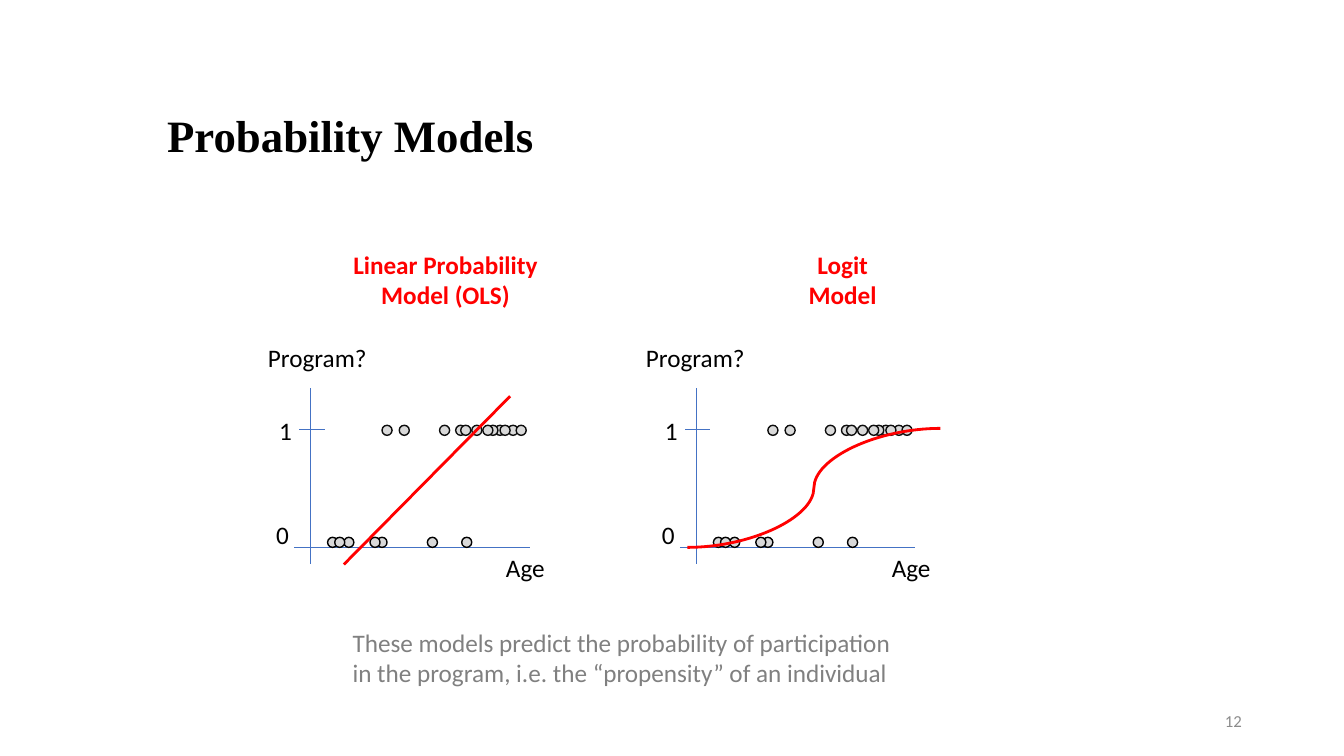
from lxml.etree import SubElement
from pptx import Presentation
from pptx.dml.color import RGBColor
from pptx.enum.shapes import MSO_CONNECTOR as Connector, MSO_SHAPE as Shape
from pptx.enum.text import MSO_ANCHOR as Anchor, MSO_AUTO_SIZE as AutoSize, PP_ALIGN as Align
from pptx.oxml.ns import qn
from pptx.util import Pt

ONES = [131.8, 103.7, 115.2, 92.2, 107.3, 51.1, 63.4, 126.7, 141.1, 123.1, 135.4, 146.9]
ZEROS = [47.5, 42.5, 83.5, 108, 12.2, 23.8, 17.3]
AXES = [(0, 277.2, 0, 403.2), (-11.7, 391, 156.5, 391), (-7.9, 306.7, 10.1, 306.7)]
LABELS = [("Age", 132.5, 391, 42.5), ("1", -29.5, 293, 23.8), ("0", -31.7, 367.2, 23.8)]


def colour(value):
    return RGBColor.from_string(value)


def assign(target, values):
    for name, value in values.items():
        setattr(target, name, value)


class Painter:
    red = "FF0000"
    black = "000000"
    axis_blue = "4472C4"
    dot_fill = "D9D9D9"
    dot_size = 7.2

    def __init__(self, page):
        self.page = page

    def text(self, words, left, top, width, height=28.8, ink=black, frame=None, layout=None, font=None):
        box = self.page.shapes.add_textbox(Pt(left), Pt(top), Pt(width), Pt(height))
        assign(box.text_frame, {"word_wrap": False, "auto_size": AutoSize.SHAPE_TO_FIT_TEXT, **(frame or {})})
        para = box.text_frame.paragraphs[0]
        para.text = words
        assign(para, layout or {})
        for span in para.runs:
            assign(span.font, {"name": "Calibri", "size": Pt(18), **(font or {})})
            span.font.color.rgb = colour(ink)

    def line(self, x1, y1, x2, y2, ink=axis_blue, weight=0.5, kind=Connector.STRAIGHT):
        line = self.page.shapes.add_connector(kind, Pt(x1), Pt(y1), Pt(x2), Pt(y2))
        line.line.width = Pt(weight)
        line.line.color.rgb = colour(ink)
        SubElement(line._element.spPr, qn("a:effectLst"))

    def dot(self, left, top, edge):
        dot = self.page.shapes.add_shape(
            Shape.OVAL, Pt(left), Pt(top), Pt(self.dot_size), Pt(self.dot_size))
        dot.shadow.inherit = False
        dot.fill.solid()
        dot.fill.fore_color.rgb = colour(self.dot_fill)
        dot.line.width = Pt(1)
        dot.line.color.rgb = colour(edge)

    def plot(self, origin, caption_left, fit, kind):
        for x1, y1, x2, y2 in AXES:
            self.line(origin + x1, y1, origin + x2, y2)
        for words, left, top, width in LABELS:
            self.text(words, origin + left, top, width)
        self.text("Program?", caption_left, 241.2, 85.7)
        for offsets, top, edge in ((ONES, 303.8, "0D0D0D"), (ZEROS, 383.8, self.black)):
            for offset in offsets:
                self.dot(origin + offset, top, edge)
        x1, y1, x2, y2 = fit
        self.line(origin + x1, y1, origin + x2, y2, self.red, 2, kind)

    def heading(self, words, left, width):
        self.text(words, left, 174.2, width, 51.1, self.red,
                  layout={"alignment": Align.CENTER}, font={"bold": True})


def main():
    deck = Presentation()
    assign(deck, {"slide_width": Pt(960), "slide_height": Pt(540)})
    page = deck.slides.add_slide(deck.slide_layouts[6])
    painter = Painter(page)
    fixed = {"word_wrap": True, "auto_size": AutoSize.NONE}

    painter.text("Probability Models", 112.3, 41.8, 655.9, 77.8,
                 frame={**fixed, "vertical_anchor": Anchor.BOTTOM},
                 layout={"line_spacing": 0.9},
                 font={"name": "Times New Roman", "size": Pt(32), "bold": True})
    painter.plot(221.8, 184.3, (23.8, 403.2, 142.6, 283), Connector.STRAIGHT)
    painter.plot(497.4, 454.3, (-6.4, 391, 174.4, 306), Connector.CURVE)
    painter.heading("Linear Probability\nModel (OLS)", 244.8, 146.9)
    painter.heading("Logit\nModel", 570.2, 63.4)
    painter.text("These models predict the probability of participation\n"
                 "in the program, i.e. the “propensity” of an individual",
                 244.8, 444.2, 403.2, 51.1, "808080")
    painter.text("12", 678.2, 500.4, 216, ink="8C8C8C",
                 frame={**fixed, "vertical_anchor": Anchor.MIDDLE},
                 layout={"alignment": Align.RIGHT}, font={"size": Pt(12)})
    deck.save("out.pptx")


if __name__ == "__main__":
    main()
